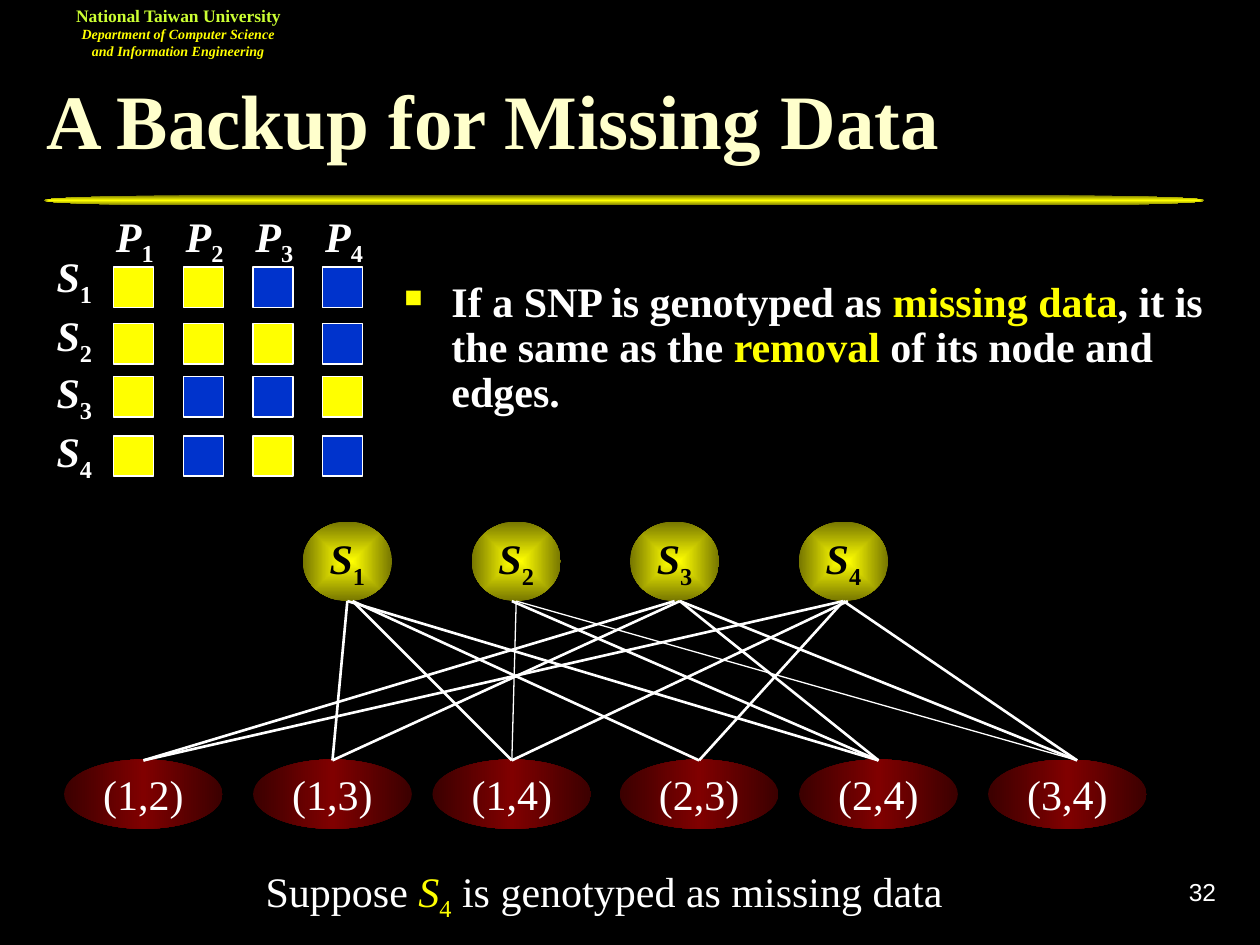
from lxml.etree import SubElement
from pptx import Presentation
from pptx.dml.color import RGBColor
from pptx.enum.shapes import MSO_CONNECTOR as Line, MSO_SHAPE as Preset
from pptx.enum.text import MSO_ANCHOR as Anchor, PP_ALIGN as Align
from pptx.oxml import parse_xml
from pptx.oxml.ns import nsdecls, qn
from pptx.util import Pt

WHITE, YELLOW, BLUE, BLACK = "FFFFFF", "FFFF00", "0033CC", "000000"
BODY = {"name": "Times New Roman", "size": Pt(24), "bold": False, "italic": False}
BOLD = {**BODY, "bold": True}
ITALIC = {**BODY, "italic": True}
SYMBOL = {**BOLD, "italic": True}
TITLE = {**BOLD, "size": Pt(44)}
SCHOOL = {**BOLD, "size": Pt(10)}
DEPARTMENT = {**SYMBOL, "size": Pt(8)}
NUMBER = {**BODY, "name": "Arial", "size": Pt(14)}

CENTRE_GLOW = '<a:path path="rect"><a:fillToRect l="50000" t="50000" r="50000" b="50000"/></a:path>'
ACROSS = '<a:lin ang="0" scaled="1"/>'
GOLD = ([(0, YELLOW), (100, "767600")], CENTRE_GLOW)
MAROON = ([(0, "3B0000"), (50, "800000"), (100, "3B0000")], ACROSS)

PAIR_CENTRES = {"(1,2)": 82, "(1,3)": 190, "(1,4)": 292.5,
                "(2,3)": 399.5, "(2,4)": 502, "(3,4)": 610}
PAIR_TOP, PAIR_WIDTH, PAIR_HEIGHT = 434, 90.7, 39.6
LAST_PAIR_SHIFT = 5.5
SNP_CENTRES = [198.5, 295, 385.5, 482]
SNP_TOP, SNP_WIDTH, SNP_HEIGHT = 298, 51, 45.5
EDGES = [
    [(3, "(1,4)", 1.5), (3, "(2,3)", 1.5), (0, "(1,3)", 1.5), (0, "(2,4)", 1.5)],
    [(-2.5, "(2,4)", 1.5), (0, "(3,4)", 0.75), (0, "(1,4)", 0.75)],
    [(3, "(3,4)", 1.5), (3, "(2,4)", 1.5), (3, "(1,3)", 1.5), (0, "(1,2)", 1.5)],
    [(2.5, "(1,4)", 1.5), (0, "(1,2)", 1.5), (0, "(2,3)", 1.5), (0, "(3,4)", 1.5)],
]

HAPLOTYPES = [(152.6, 139.7, "YYBB"), (185, 173.5, "YYYB"),
              (215.3, 205.9, "YBBY"), (249.1, 239.8, "YBYB")]
CELL_COLORS = {"Y": YELLOW, "B": BLUE}
MATRIX_LEFT, COLUMN_STEP, CELL = 64.8, 39.85, 23


def rgb(color):
    return RGBColor.from_string(color)


def box(*lengths):
    return [Pt(length) for length in lengths]


def add_run(paragraph, text, style, color, subscript=False):
    run = paragraph.add_run()
    run.text = text
    for attribute, value in style.items():
        setattr(run.font, attribute, value)
    run.font.color.rgb = rgb(color)
    if subscript:
        run._r.get_or_add_rPr().set("baseline", "-25000")


def write(paragraph, runs, layout):
    for attribute, value in layout.items():
        setattr(paragraph, attribute, value)
    for run in runs:
        add_run(paragraph, *run)


def indexed(letter, index, color, style=SYMBOL):
    return [(letter, style, color),
            (str(index), {**style, "italic": False}, color, True)]


def add_text(slide, area, *paragraphs, anchor=Anchor.TOP, margins=(7.2, 3.6), **layout):
    frame = slide.shapes.add_textbox(*box(*area)).text_frame
    frame.word_wrap = True
    frame.vertical_anchor = anchor
    frame.margin_left = frame.margin_right = Pt(margins[0])
    frame.margin_top = frame.margin_bottom = Pt(margins[1])
    for number, runs in enumerate(paragraphs):
        paragraph = frame.add_paragraph() if number else frame.paragraphs[0]
        write(paragraph, runs, layout)
    return frame


def add_bullet(paragraph):
    properties = paragraph._p.get_or_add_pPr()
    properties.set("marL", str(Pt(27)))
    properties.set("indent", str(Pt(-27)))
    color = SubElement(properties, qn("a:buClr"))
    SubElement(color, qn("a:srgbClr"), val=YELLOW)
    SubElement(properties, qn("a:buSzPct"), val="60000")
    SubElement(properties, qn("a:buChar"), char="■")


def add_glowing(slide, preset, area, gradient, runs=()):
    shape = slide.shapes.add_shape(preset, *box(*area))
    shape.shadow.inherit = False
    shape.line.fill.background()
    shape.fill.background()
    stops, direction = gradient
    stop_list = "".join(
        f'<a:gs pos="{position * 1000}"><a:srgbClr val="{color}"/></a:gs>'
        for position, color in stops)
    properties = shape._element.spPr
    properties.replace(properties.find(qn("a:noFill")), parse_xml(
        f'<a:gradFill {nsdecls("a")} rotWithShape="1">'
        f'<a:gsLst>{stop_list}</a:gsLst>{direction}</a:gradFill>'))
    frame = shape.text_frame
    frame.word_wrap = False
    frame.vertical_anchor = Anchor.MIDDLE
    write(frame.paragraphs[0], runs, {"alignment": Align.CENTER})


def add_cell(slide, left, top, color):
    cell = slide.shapes.add_shape(Preset.RECTANGLE, *box(left, top, CELL, CELL))
    cell.shadow.inherit = False
    cell.fill.solid()
    cell.fill.fore_color.rgb = rgb(color)
    cell.line.color.rgb = rgb(WHITE)
    cell.line.width = Pt(0.75)


def add_edge(slide, start, end, width):
    edge = slide.shapes.add_connector(Line.STRAIGHT, *box(*start, *end))
    edge.line.color.rgb = rgb(WHITE)
    edge.line.width = Pt(width)
    SubElement(edge._element.spPr, qn("a:effectLst"))


def add_header(slide):
    add_glowing(slide, Preset.FLOWCHART_TERMINATOR, (25.2, 111.6, 663, 5.8), GOLD)
    add_text(slide, (31, -2.2, 141.8, 41),
             [("National Taiwan University", SCHOOL, "CCFF33")],
             [("Department of Computer Science and Information Engineering",
               DEPARTMENT, YELLOW)],
             margins=(9.4, 5), alignment=Align.CENTER)
    add_text(slide, (19.4, 37.4, 682.6, 73.4),
             [("A Backup for Missing Data", TITLE, "FFFFCC")],
             anchor=Anchor.MIDDLE, line_spacing=0.7)
    add_text(slide, (552.2, 491.8, 149.8, 36), [("32", NUMBER, WHITE)],
             anchor=Anchor.MIDDLE, alignment=Align.RIGHT)


def add_graph(slide):
    for pair, centre in PAIR_CENTRES.items():
        add_glowing(slide, Preset.OVAL,
                    (centre - PAIR_WIDTH / 2, PAIR_TOP, PAIR_WIDTH, PAIR_HEIGHT),
                    MAROON, [(pair, BODY, WHITE)])
    for index, (centre, edges) in enumerate(zip(SNP_CENTRES, EDGES), 1):
        add_glowing(slide, Preset.OVAL,
                    (centre - SNP_WIDTH / 2, SNP_TOP, SNP_WIDTH, SNP_HEIGHT),
                    GOLD, indexed("S", index, BLACK))
        for offset, pair, width in edges:
            shift = LAST_PAIR_SHIFT if pair == "(3,4)" else 0
            add_edge(slide, (centre + offset, SNP_TOP + SNP_HEIGHT),
                     (PAIR_CENTRES[pair] + shift, PAIR_TOP + 0.5), width)


def add_matrix(slide):
    for row, (cell_top, label_top, alleles) in enumerate(HAPLOTYPES, 1):
        add_text(slide, (25.2, label_top, 39.6, 40.3), indexed("S", row, WHITE))
        for column, allele in enumerate(alleles):
            add_cell(slide, MATRIX_LEFT + column * COLUMN_STEP, cell_top,
                     CELL_COLORS[allele])
    for column in range(4):
        add_text(slide, (59.2 + column * COLUMN_STEP, 116.6, 39.6, 40.3),
                 indexed("P", column + 1, WHITE))


def add_statements(slide):
    add_text(slide, (144.7, 491, 408.2, 40.3),
             [("Suppose ", BODY, WHITE), *indexed("S", 4, YELLOW, ITALIC),
              (" is genotyped as missing data", BODY, WHITE)])
    claim = add_text(slide, (223.9, 157, 496, 102.2),
                     [("If a SNP is genotyped as ", BOLD, WHITE),
                      ("missing data", BOLD, YELLOW),
                      (", it is the same as the ", BOLD, WHITE),
                      ("removal", BOLD, YELLOW),
                      (" of its node and edges.", BOLD, WHITE)],
                     line_spacing=0.9)
    add_bullet(claim.paragraphs[0])


def main():
    deck = Presentation()
    deck.slide_width, deck.slide_height = box(720, 540)
    slide = deck.slides.add_slide(deck.slide_layouts[6])
    slide.background.fill.solid()
    slide.background.fill.fore_color.rgb = rgb(BLACK)
    add_header(slide)
    add_graph(slide)
    add_statements(slide)
    add_matrix(slide)
    deck.save("out.pptx")


if __name__ == "__main__":
    main()
